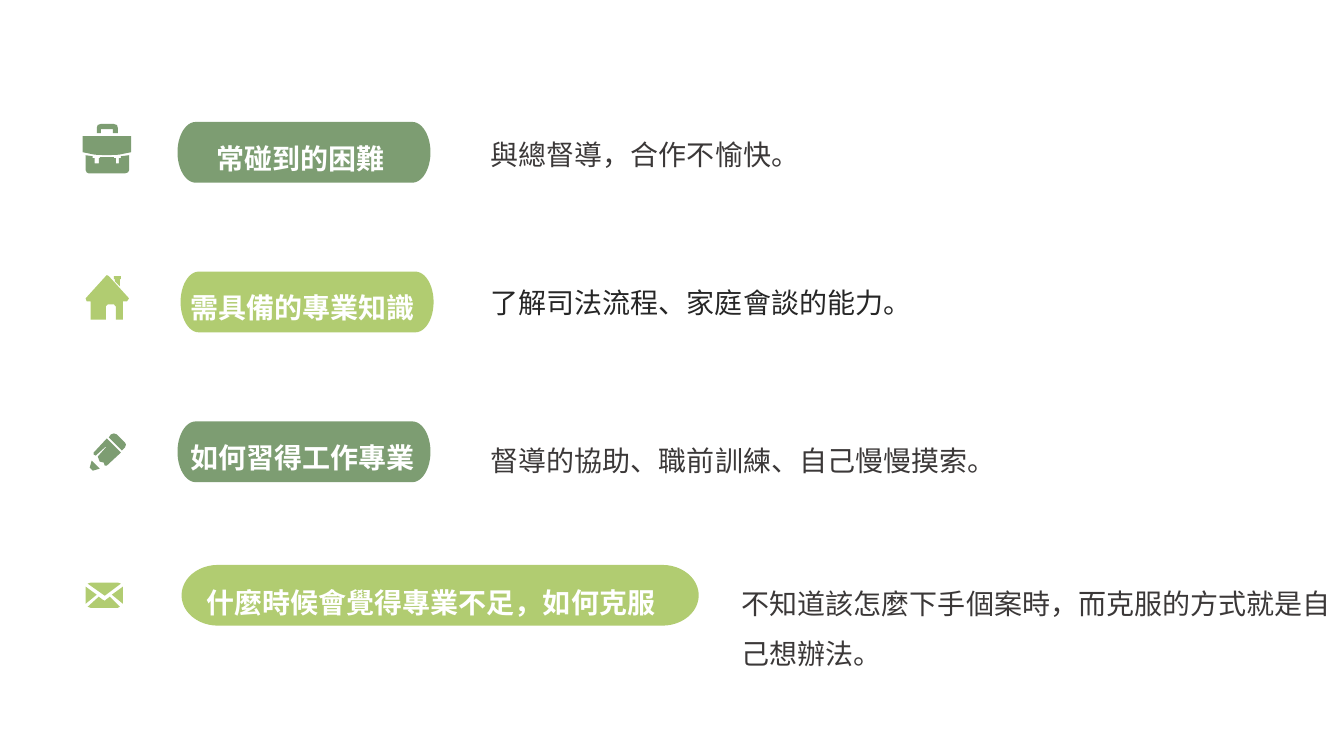
from math import cos, pi, sin
from pptx import Presentation
from pptx.dml.color import RGBColor as RGB
from pptx.enum.text import MSO_AUTO_SIZE as AutoSize
from pptx.util import Pt

FONT = "Lato"
TEXT_SIZE = 20
PILL_HEIGHT = 43.4
ICON_UNIT = 0.72
COLORS = {"sage": "7D9D72", "lime": "B1CC71", "white": "FFFFFF",
          "grey": "3B3838", "dark": "262626"}

BRIEFCASE = [
    [(46, 31), (46, 46), (45, 48), (42, 49), (6, 49), (4, 48), (3, 46), (3, 31),
     (10, 32), (10, 34), (12, 34), (12, 39), (16, 39), (16, 34), (17, 34), (17, 33),
     (31, 33), (31, 34), (33, 34), (33, 39), (36, 39), (36, 34), (38, 34), (38, 32)],
    [(18, 0), (31, 0), (34, 1), (35, 4), (35, 9), (30, 9), (30, 5), (18, 5),
     (18, 9), (14, 9), (14, 4), (15, 1)],
    [(0, 12), (0, 28), (12, 30.5), (24, 31), (36, 30.5), (48, 28), (48, 12)],
]
HOUSE = [
    [(37, 26), (37, 44), (30, 44), (30, 31), (28, 29), (22, 29), (20, 31), (20, 44),
     (5, 44), (5, 26), (1, 26), (0, 23), (20, 1), (21, 0), (23, 1), (43, 23), (41, 26)],
    [(34, 4), (35, 4), (35, 1), (28, 1), (28, 4), (29, 4), (29, 6), (34, 11)],
]
PENCIL = [
    [(32, 17), (35, 14), (36, 11), (35, 9), (27, 1), (24, 0), (21, 1), (19, 4)],
    [(21, 9), (31, 19), (17, 32), (15, 32), (14, 29), (10, 28), (8, 23), (16, 14),
     (16, 13), (6, 22), (4, 21), (4, 19), (17, 5)],
    [(2, 27), (0, 34), (3, 37), (10, 35)],
]
ENVELOPE = [
    [(5, 0), (32, 0), (35, 1), (19, 13), (2, 1)],
    [(37, 4), (26, 12), (37, 21)],
    [(34, 24), (32, 25), (5, 25), (2, 24), (13, 14), (17, 17), (19, 18), (20, 17), (24, 14)],
    [(0, 21), (11, 12), (0, 4)],
]

ROWS = [
    {"color": "sage", "icon": BRIEFCASE, "icon_at": (59.04, 88.56),
     "pill": (126.8, 87.1, 180.7, 13), "label": "常碰到的困難", "label_box": (147.6, 97.2, 139.7),
     "answer": "與總督導，合作不愉快。", "answer_box": (343.4, 82.8, 359.3, 43.9),
     "ink": "grey", "spacing": 1.5, "wrap": True},
    {"color": "lime", "icon": HOUSE, "icon_at": (61.2, 196.56),
     "pill": (129, 194, 180.7, 13), "label": "需具備的專業知識", "label_box": (128.9, 203.8, 181.4),
     "answer": "了解司法流程、家庭會談的能力。", "answer_box": (343.4, 200.2, 326.9, 31.7),
     "ink": "dark", "spacing": 1, "wrap": False},
    {"color": "sage", "icon": PENCIL, "icon_at": (64.08, 309.6),
     "pill": (126.8, 301, 180.7, 13), "label": "如何習得工作專業", "label_box": (128.9, 311, 181.4),
     "answer": "督導的協助、職前訓練、自己慢慢摸索。", "answer_box": (343.4, 301, 411.8, 43.9),
     "ink": "grey", "spacing": 1.5, "wrap": True},
    {"color": "lime", "icon": ENVELOPE, "icon_at": (61.2, 416.16),
     "pill": (129.7, 403.5, 369.4, 26), "label": "什麼時候會覺得專業不足，如何克服",
     "label_box": (140.4, 414.7, 347.8),
     "answer": "不知道該怎麼下手個案時，而克服的方式就是自己想辦法。",
     "answer_box": (522.7, 403.2, 439.9, 79.9),
     "ink": "grey", "spacing": 1.5, "wrap": True},
]


def rgb(name):
    return RGB.from_string(COLORS[name])


def add_outline(shapes, contours, origin, unit, color):
    scaled = [[(Pt(x * unit), Pt(y * unit)) for x, y in c] for c in contours]
    builder = shapes.build_freeform(*scaled[0][0])
    for i, points in enumerate(scaled):
        if i:
            builder.move_to(*points[0])
        builder.add_line_segments(points[1:], close=True)
    sp = builder.convert_to_shape(Pt(origin[0]), Pt(origin[1]))
    sp.shadow.inherit = False
    sp.fill.solid()
    sp.fill.fore_color.rgb = rgb(color)
    sp.line.fill.background()


def pill_points(width, radius, steps=24):
    half = PILL_HEIGHT / 2
    points = []
    for center, start in ((width - radius, -pi / 2), (radius, pi / 2)):
        for i in range(steps + 1):
            a = start + pi * i / steps
            points.append((center + radius * cos(a), half + half * sin(a)))
    return points


def add_text(shapes, text, box, color, bold=False, spacing=1, wrap=False):
    tf = shapes.add_textbox(*map(Pt, box)).text_frame
    tf.word_wrap = wrap
    tf.auto_size = AutoSize.SHAPE_TO_FIT_TEXT
    tf.text = text
    p = tf.paragraphs[0]
    p.line_spacing = spacing
    font = p.runs[0].font
    font.name, font.size, font.bold = FONT, Pt(TEXT_SIZE), bold
    font.color.rgb = rgb(color)


def main():
    prs = Presentation()
    prs.slide_width, prs.slide_height = Pt(960), Pt(540)
    s = prs.slides.add_slide(prs.slide_layouts[6])
    for row in ROWS:
        add_outline(s.shapes, row["icon"], row["icon_at"], ICON_UNIT, row["color"])
        left, top, width, radius = row["pill"]
        group = s.shapes.add_group_shape().shapes
        add_outline(group, [pill_points(width, radius)], (left, top), 1, row["color"])
        add_text(group, row["label"], (*row["label_box"], 31.7), "white", bold=True)
        add_text(s.shapes, row["answer"], row["answer_box"], row["ink"],
                 spacing=row["spacing"], wrap=row["wrap"])
    prs.save("out.pptx")


if __name__ == "__main__":
    main()
